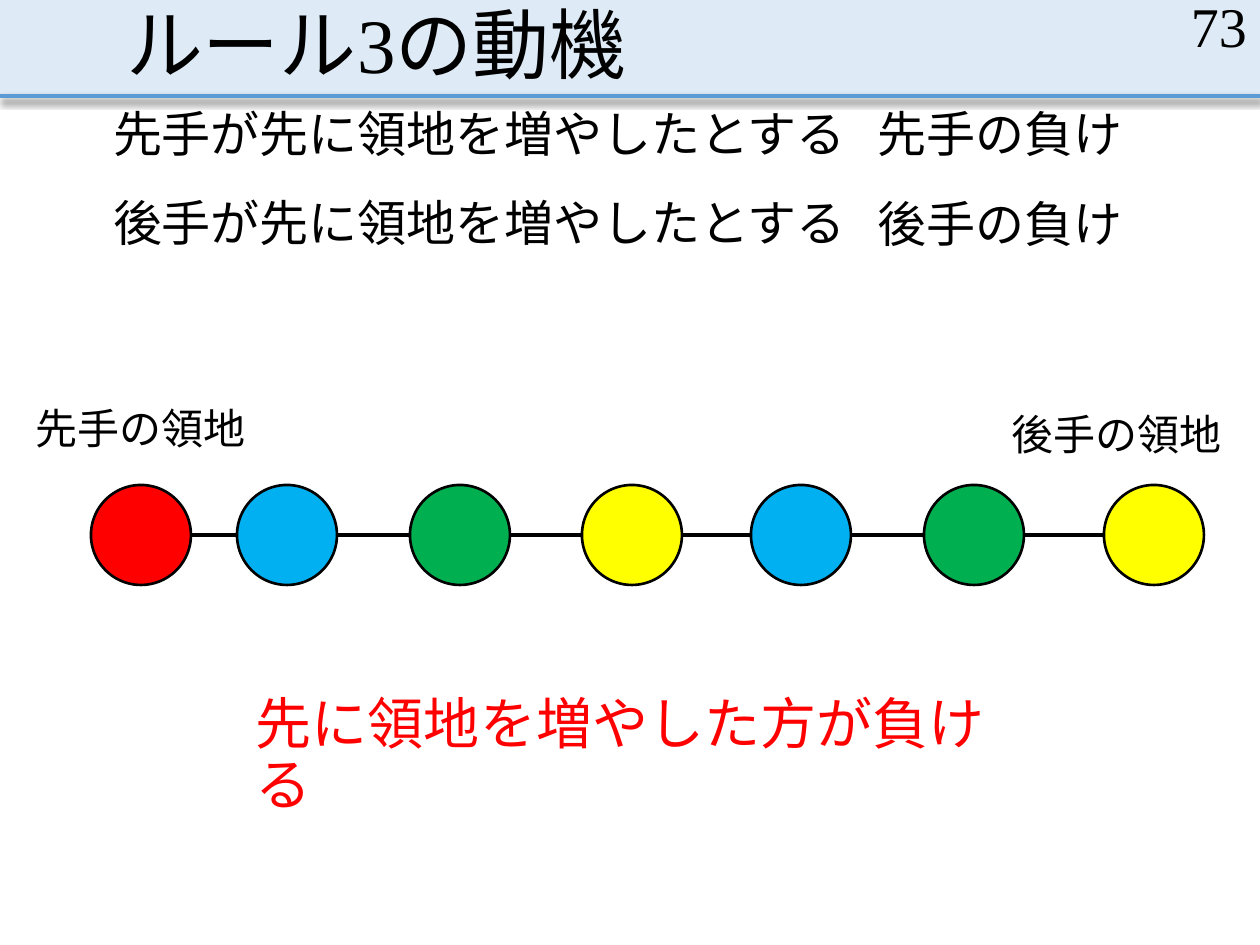
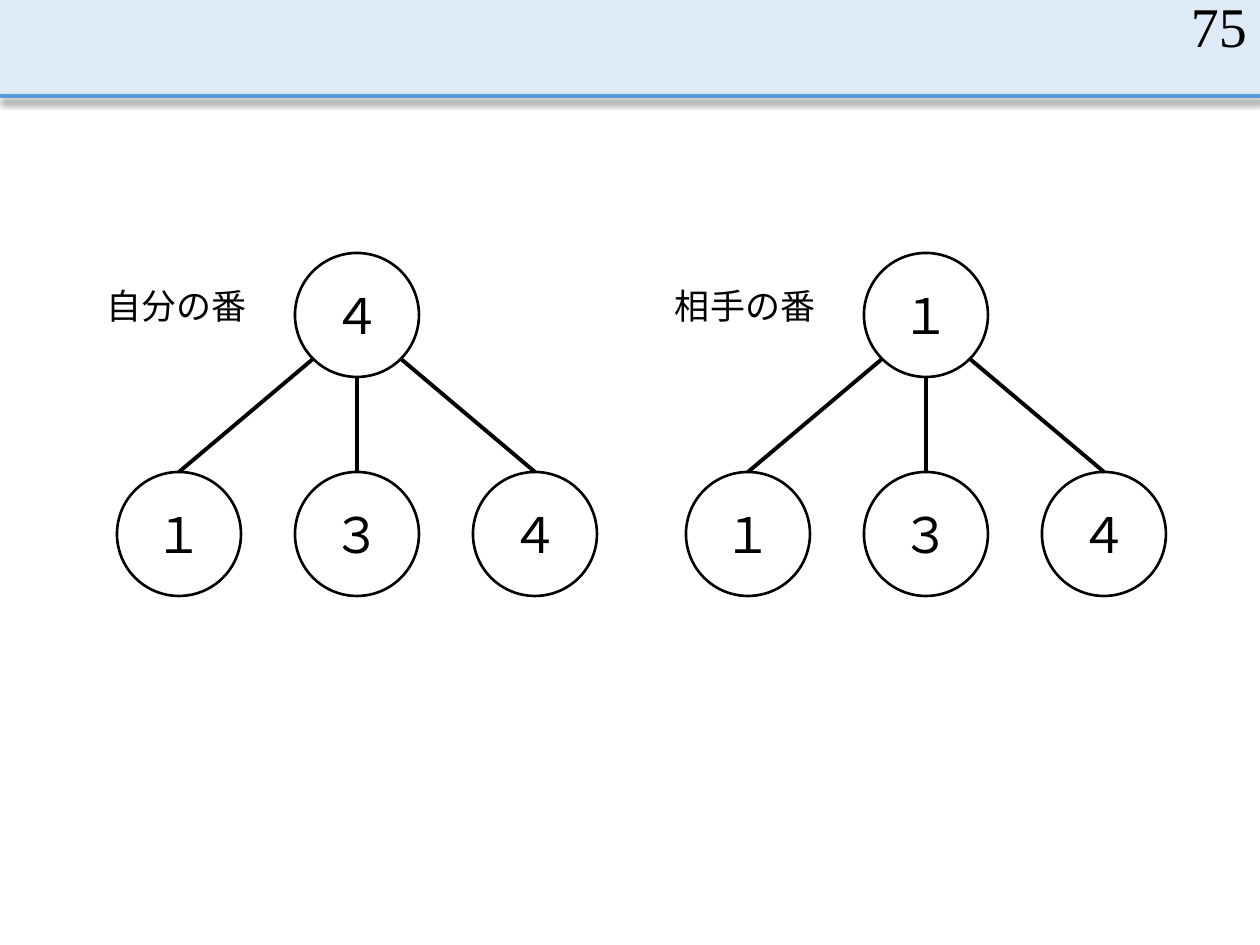
"""Builds two game slides: the motive for rule 3 and a pair of move trees."""
from lxml import etree
from pptx import Presentation
from pptx.dml.color import RGBColor
from pptx.enum.shapes import MSO_CONNECTOR, MSO_SHAPE
from pptx.enum.text import MSO_ANCHOR, MSO_AUTO_SIZE, PP_ALIGN
from pptx.oxml.ns import qn
from pptx.util import Pt

PX = 914400 / 126
FONT = "Times New Roman"
BLACK = RGBColor(0x00, 0x00, 0x00)
WHITE = RGBColor(0xFF, 0xFF, 0xFF)
RED = RGBColor(0xFF, 0x00, 0x00)
BLUE = RGBColor(0x00, 0xB0, 0xF0)
GREEN = RGBColor(0x00, 0xB0, 0x50)
YELLOW = RGBColor(0xFF, 0xFF, 0x00)
BAND = RGBColor(0xDE, 0xEB, 0xF7)
RULE = RGBColor(0x5B, 0x9B, 0xD5)
LEFT, CENTER, RIGHT = PP_ALIGN.LEFT, PP_ALIGN.CENTER, PP_ALIGN.RIGHT
TOP, MIDDLE, BOTTOM = MSO_ANCHOR.TOP, MSO_ANCHOR.MIDDLE, MSO_ANCHOR.BOTTOM
NO_FIT = MSO_AUTO_SIZE.NONE
STRAIGHT = MSO_CONNECTOR.STRAIGHT
RECTANGLE, OVAL, NODE = MSO_SHAPE.RECTANGLE, MSO_SHAPE.OVAL, MSO_SHAPE.FLOWCHART_CONNECTOR
TITLE_ONLY, BLANK = 5, 6


def px(*lengths):
    return [round(n * PX) for n in lengths]


def write(sp, text, size=28, color=BLACK, align=LEFT, anchor=TOP, side=13, spacing=1.0, wrap=True):
    tf = sp.text_frame
    tf.auto_size = NO_FIT
    tf.word_wrap = wrap
    tf.vertical_anchor = anchor
    tf.margin_left, tf.margin_right = px(side, side)
    p = tf.paragraphs[0]
    p.alignment = align
    p.line_spacing = spacing
    r = p.add_run()
    r.text = text
    r.font.name = FONT
    r.font.size = Pt(size)
    r.font.color.rgb = color


prs = Presentation()
prs.slide_width, prs.slide_height = px(1260, 945)

slides = []
for title, number in [("ルール3の動機", "73"), (None, "75")]:
    s = prs.slides.add_slide(prs.slide_layouts[TITLE_ONLY if title else BLANK])
    slides.append(s)
    band = s.shapes.add_shape(RECTANGLE, *px(0, 0, 1260, 96))
    band.shadow.inherit = False
    band.fill.solid()
    band.fill.fore_color.rgb = BAND
    band.line.fill.background()

    rule = s.shapes.add_connector(STRAIGHT, *px(0, 96, 1260, 96))
    rule.line.color.rgb = RULE
    rule.line.width = Pt(2.25)
    effects = etree.SubElement(rule.element.spPr, qn("a:effectLst"))
    shadow = etree.SubElement(effects, qn("a:outerShdw"), blurRad="50800", dist="31750",
                              dir="5400000", algn="t", rotWithShape="0")
    shade = etree.SubElement(shadow, qn("a:srgbClr"), val="000000")
    etree.SubElement(shade, qn("a:alpha"), val="47000")

    if title:
        sp = s.shapes.title
        sp.left, sp.top, sp.width, sp.height = px(113, 0, 1040, 96)
        write(sp, title, size=44, anchor=BOTTOM, spacing=0.9)
        sp.element.getparent().append(sp.element)
    sp = s.shapes.add_textbox(*px(977, 0, 283, 50))
    write(sp, number, size=32, align=RIGHT, anchor=MIDDLE)

motive, trees = slides
lines = []

NODE_SIZE, NODE_TOP = 100, 485
node_lefts = [91, 237, 410, 582, 751, 924, 1104]
node_colors = [RED, BLUE, GREEN, YELLOW, BLUE, GREEN, YELLOW]
for left, color in zip(node_lefts, node_colors):
    sp = motive.shapes.add_shape(NODE, *px(left, NODE_TOP, NODE_SIZE, NODE_SIZE))
    sp.shadow.inherit = False
    sp.fill.solid()
    sp.fill.fore_color.rgb = color
    sp.line.color.rgb = BLACK
    sp.line.width = Pt(1.5)
middle = NODE_TOP + NODE_SIZE // 2
for left, following in zip(node_lefts, node_lefts[1:]):
    lines.append((motive, left + NODE_SIZE, middle, following, middle))

for text, left, top, width, size, color in [
    ("先手が先に領地を増やしたとする", 113, 104, 1040, 28, BLACK),
    ("後手が先に領地を増やしたとする", 113, 193, 1040, 28, BLACK),
    ("先手の負け", 878, 104, 265, 28, BLACK),
    ("後手の負け", 878, 194, 265, 28, BLACK),
    ("先に領地を増やした方が負ける", 256, 690, 753, 32, RED),
]:
    sp = motive.shapes.add_textbox(*px(left, top, width, 84))
    write(sp, text, size=size, color=color, side=0, spacing=0.9)

for text, left, top in [("先手の領地", 23, 396), ("後手の領地", 999, 402)]:
    sp = motive.shapes.add_textbox(*px(left, top, 237, 63))
    write(sp, text, size=24, wrap=False)

CIRCLE, ROOT_TOP, CHILD_TOP, STEP = 124, 253, 472, 178
RADIUS, DIAGONAL = 62, 44
for turn, root_left, root in [("自分の番", 295, "４"), ("相手の番", 864, "１")]:
    circles = [(root, root_left, ROOT_TOP)]
    center = root_left + RADIUS
    for side, child in zip((-1, 0, 1), "１３４"):
        circles.append((child, root_left + side * STEP, CHILD_TOP))
        drop = DIAGONAL if side else RADIUS
        lines.append((trees, center + side * STEP, CHILD_TOP,
                      center + side * DIAGONAL, ROOT_TOP + RADIUS + drop))
    for text, left, top in circles:
        sp = trees.shapes.add_shape(OVAL, *px(left, top, CIRCLE, CIRCLE))
        sp.shadow.inherit = False
        sp.fill.solid()
        sp.fill.fore_color.rgb = WHITE
        sp.line.color.rgb = BLACK
        sp.line.width = Pt(1.5)
        write(sp, text, align=CENTER, anchor=MIDDLE)
    sp = trees.shapes.add_textbox(*px(root_left - 202, 278, 171, 55))
    write(sp, turn, size=20)

for s, *ends in lines:
    edge = s.shapes.add_connector(STRAIGHT, *px(*ends))
    edge.line.color.rgb = BLACK
    edge.line.width = Pt(2.25)
    etree.SubElement(edge.element.spPr, qn("a:effectLst"))

prs.save("out.pptx")
